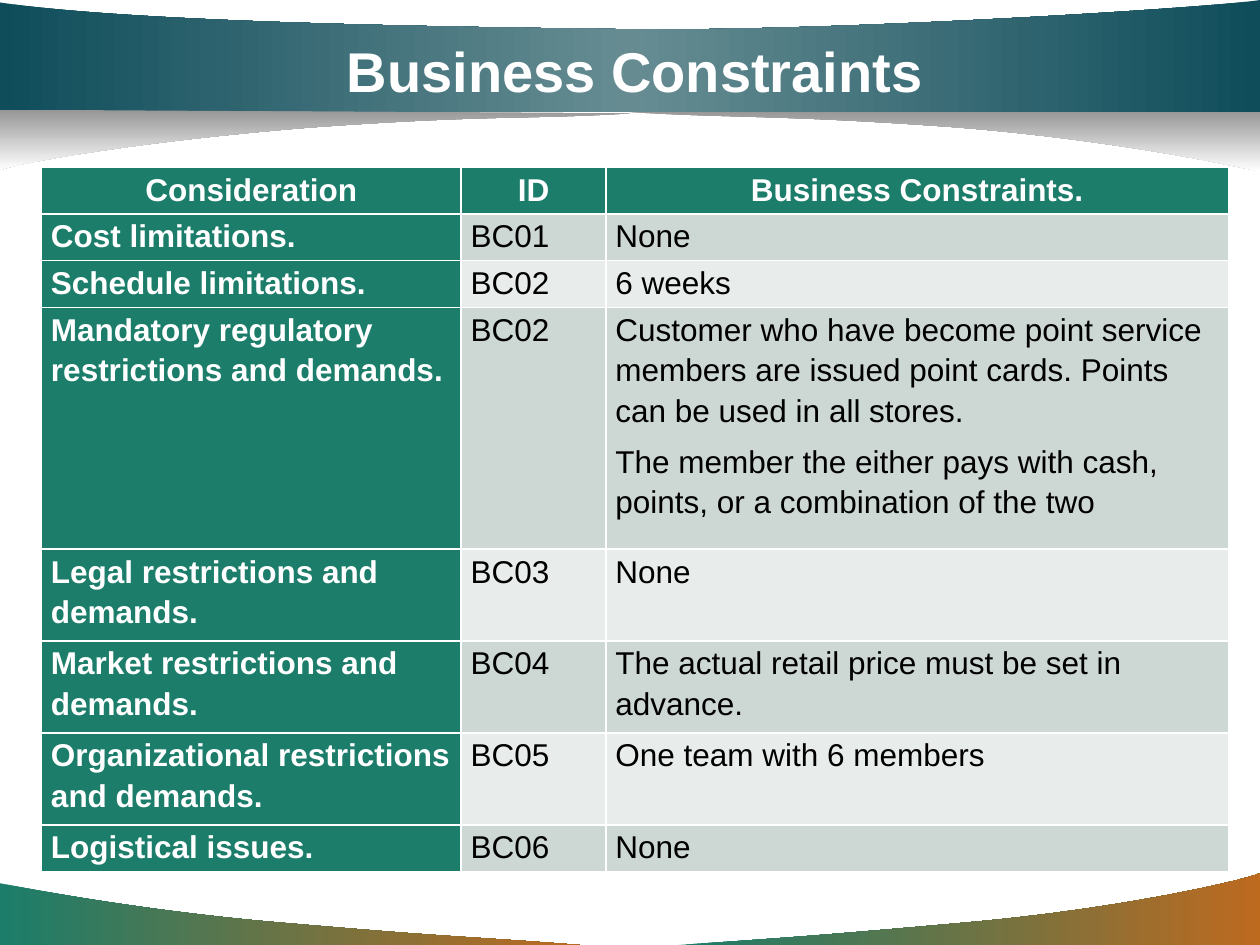
from lxml import etree
from pptx import Presentation
from pptx import util as u
from pptx.dml.color import RGBColor
from pptx.enum import text
from pptx.oxml.ns import qn

HUES = {
    "white": "FFFFFF", "black": "000000", "green": "1B7D6A",
    "orange": "BD6A1F", "navy": "0F4D5B", "steel": "668C92",
    "gray": "969696", "dark": "CDD7D4", "light": "E8ECEB",
}
BASE, SHADE = ("green", "orange"), ("gray", "white")

# Each step is a line end (x, y) or a cubic curve (two handles and an end).
WAVES = [
    (BASE, 0, [(4.6, 7.5), (3.84, 7.44, 3.58, 7.44, 2.32, 7.33),
               (1.06, 7.23, 0.01, 7.01, 0, 7.01), (0, 7.5)]),
    (BASE, 0, [(5.39, 7.5), (6.14, 7.45, 6.46, 7.43, 7.69, 7.32),
               (8.92, 7.21, 9.9, 6.98, 10, 6.93), (10, 7.5)]),
    (SHADE, 90, [(5, 0.89), (5.84, 0.94, 6.2, 0.91, 7.58, 1.01),
                 (8.97, 1.12, 9.98, 1.36, 10, 1.36), (10, 0.88)]),
    (("navy", "steel", "navy"), 0,
     [(0, 0.89), (10, 0.89), (10, 0), (9.64, 0.06, 6.53, 0.26, 4.87, 0.23),
      (3.21, 0.21, 1.01, 0.17, 0, 0.02)]),
    (SHADE, 90, [(5, 0.9), (4.16, 0.95, 3.88, 0.91, 2.49, 1.01),
                 (1.1, 1.12, 0.11, 1.3, 0, 1.35), (0, 0.87)]),
]

COLS = [3.33, 1.15, 4.94]
ROWS = [
    (0.37, "Consideration", "ID", "Business Constraints."),
    (0.37, "Cost limitations.", "BC01", "None"),
    (0.37, "Schedule limitations.", "BC02", "6 weeks"),
    (1.92, "Mandatory regulatory restrictions and demands.", "BC02",
     "Customer who have become point service members are issued point cards. "
     "Points can be used in all stores.\n"
     "The member the either pays with cash, points, or a combination of the two"),
    (0.73, "Legal restrictions and demands.", "BC03", "None"),
    (0.73, "Market restrictions and demands.", "BC04",
     "The actual retail price must be set in advance."),
    (0.73, "Organizational restrictions and demands.", "BC05",
     "One team with 6 members"),
    (0.37, "Logistical issues.", "BC06", "None"),
]


class Deck:
    """Holds the style and the current slide."""

    font = "Arial"

    def __init__(self):
        self.show = Presentation()
        self.show.slide_width, self.show.slide_height = u.Inches(10), u.Inches(7.5)
        self.slide = self.show.slides.add_slide(self.show.slide_layouts[6])

    def style(self, para, size, hue, bold, center):
        font = para.font
        font.name, font.size, font.bold = self.font, u.Pt(size), bold
        font.color.rgb = RGBColor.from_string(HUES[hue])
        para.alignment = text.PP_ALIGN.CENTER if center else text.PP_ALIGN.LEFT

    def bend(self, shape, steps):
        """Turn the straight segments of curved steps into cubic curves."""
        lines = list(shape.element.spPr.iter(qn("a:lnTo")))
        for line, step in zip(lines, steps[1:]):
            if len(step) == 2:
                continue
            curve = etree.Element(qn("a:cubicBezTo"))
            for x, y in zip(step[::2], step[1::2]):
                etree.SubElement(curve, qn("a:pt"),
                                 x=str(u.Inches(x) - shape.left),
                                 y=str(u.Inches(y) - shape.top))
            line.getparent().replace(line, curve)

    def wave(self, hues, angle, steps):
        ends = [tuple(map(u.Inches, step[-2:])) for step in steps]
        pen = self.slide.shapes.build_freeform(*ends[0])
        pen.add_line_segments(ends[1:], close=True)
        shape = pen.convert_to_shape()
        self.bend(shape, steps)
        shape.shadow.inherit = False
        shape.line.fill.background()
        shape.fill.gradient()
        shape.fill.gradient_angle = (360 - angle) % 360
        stops = shape.element.spPr.find(".//" + qn("a:gsLst"))
        for stop in list(stops):
            stops.remove(stop)
        for i, hue in enumerate(hues):
            place = str(100000 * i // (len(hues) - 1))
            stop = etree.SubElement(stops, qn("a:gs"), pos=place)
            etree.SubElement(stop, qn("a:srgbClr"), val=HUES[hue])

    def title(self, words, left, top, width, height):
        box = self.slide.shapes.add_textbox(*map(u.Inches, (left, top, width, height)))
        frame = box.text_frame
        frame.word_wrap = True
        frame.vertical_anchor = text.MSO_ANCHOR.MIDDLE
        frame.text = words
        self.style(frame.paragraphs[0], 32, "white", True, True)

    def cell(self, cell, words, row, col):
        head = row == 0
        bold = head or col == 0
        hue = "green" if bold else "dark" if row % 2 else "light"
        cell.fill.solid()
        cell.fill.fore_color.rgb = RGBColor.from_string(HUES[hue])
        cell.margin_left = cell.margin_right = u.Pt(5.4)
        cell.margin_top = cell.margin_bottom = 0
        cell.text = words
        for para in cell.text_frame.paragraphs:
            self.style(para, 18, "white" if bold else "black", bold, head)
            para.line_spacing, para.space_after = 1.15, u.Pt(6)

    def table(self, left, top, cols, rows):
        """Add the table; its white rules come from the default table style."""
        height = sum(row[0] for row in rows)
        grid = self.slide.shapes.add_table(
            len(rows), len(cols), u.Inches(left), u.Inches(top),
            u.Inches(sum(cols)), u.Inches(height)).table
        grid.first_col = True
        for col, width in zip(grid.columns, cols):
            col.width = u.Inches(width)
        for r, (tall, *words) in enumerate(rows):
            grid.rows[r].height = u.Inches(tall)
            for c, word in enumerate(words):
                self.cell(grid.cell(r, c), word, r, c)


def main():
    deck = Deck()
    for wave in WAVES:
        deck.wave(*wave)
    deck.title("Business Constraints", 0.75, 0.25, 8.58, 0.62)
    deck.table(0.33, 1.33, COLS, ROWS)
    deck.show.save("out.pptx")


if __name__ == "__main__":
    main()
